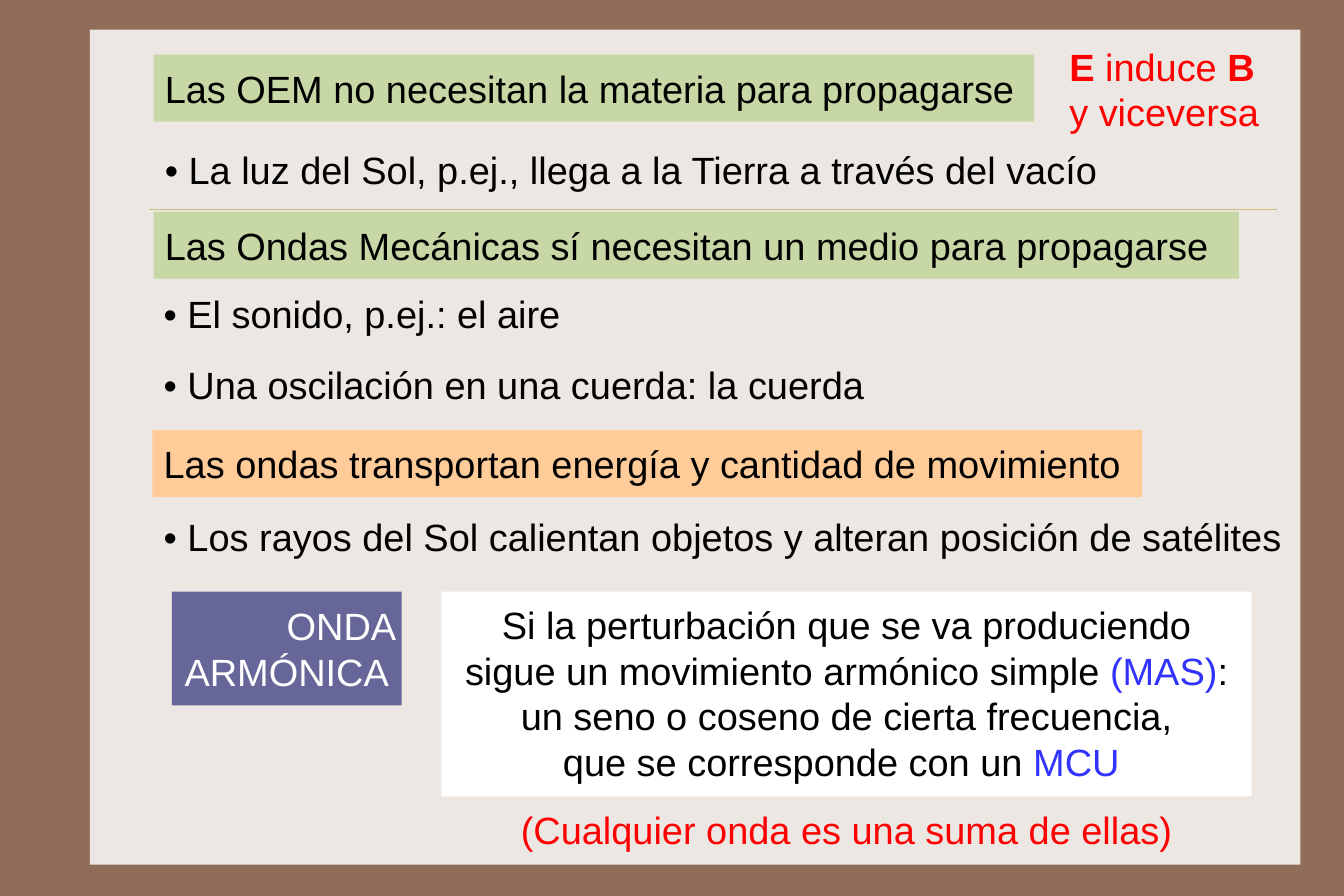
from dataclasses import dataclass
from typing import Optional

from lxml.etree import SubElement
from pptx import Presentation
from pptx.dml.color import RGBColor
from pptx.enum.shapes import MSO_CONNECTOR as Connector, MSO_SHAPE as Preset
from pptx.enum.text import MSO_ANCHOR as Anchor, PP_ALIGN as Align
from pptx.oxml.ns import qn
from pptx.slide import Slide
from pptx.text.text import _Paragraph as Paragraph
from pptx.util import Inches, Pt


@dataclass(frozen=True)
class Theme:
    font: str = "Arial"
    size: float = 24
    frame: str = "906D58"
    panel: str = "EDE7E3"
    rule: str = "CBBD83"
    green: str = "C7D7A5"
    orange: str = "FFCC99"
    violet: str = "666699"
    white: str = "FFFFFF"
    black: str = "000000"
    red: str = "FF0000"
    blue: str = "3333FF"


THEME = Theme()


@dataclass(frozen=True)
class Span:
    text: str
    color: Optional[str] = None
    bold: bool = False
    small_caps: bool = False


@dataclass(frozen=True)
class Box:
    left: float
    top: float
    width: float
    height: float
    lines: tuple[tuple[Span, ...], ...] = ()
    fill: Optional[str] = None
    color: str = THEME.black
    align: Align = Align.LEFT
    anchor: Anchor = Anchor.MIDDLE


LINE_HEIGHT = 0.59


def statement(left: float, top: float, width: float, text: str,
              fill: Optional[str] = None) -> Box:
    return Box(left, top, width, LINE_HEIGHT, ((Span(text),),), fill)


PANEL = Box(0.79, 0.26, 10.64, 7.34, fill=THEME.panel)
BOXES = (
    statement(1.35, 0.48, 7.74, "Las OEM no necesitan la materia para propagarse", THEME.green),
    statement(1.34, 2.46, 3.76, "• El sonido, p.ej.: el aire"),
    statement(1.35, 1.19, 8.51, "• La luz del Sol, p.ej., llega a la Tierra a través del vacío"),
    Box(9.3, 0.29, 1.9, 0.99,
        ((Span("E", bold=True), Span(" induce "), Span("B", bold=True), Span(" y viceversa")),),
        color=THEME.red, anchor=Anchor.TOP),
    statement(1.35, 1.86, 9.54, "Las Ondas Mecánicas sí necesitan un medio para propagarse",
              THEME.green),
    statement(1.34, 3.78, 8.7, "Las ondas transportan energía y cantidad de movimiento",
              THEME.orange),
    statement(1.34, 4.42, 10.15,
              "• Los rayos del Sol calientan objetos y alteran posición de satélites"),
    statement(1.34, 3.08, 6.46, "• Una oscilación en una cuerda: la cuerda"),
    Box(3.88, 5.2, 7.12, 1.8,
        ((Span("Si la perturbación que se va produciendo sigue un movimiento armónico simple "),
          Span("(MAS)", THEME.blue),
          Span(": un seno o coseno de cierta frecuencia,")),
         (Span("que se corresponde con un "), Span("MCU ", THEME.blue))),
        THEME.white, align=Align.CENTER, anchor=Anchor.TOP),
    Box(1.51, 5.2, 2.02, 1, ((Span("ONDA", small_caps=True),), (Span("ARMÓNICA"),)),
        THEME.violet, THEME.white, Align.CENTER),
    Box(4.28, 7, 6.32, LINE_HEIGHT, ((Span("(Cualquier onda es una suma de ellas)"),),),
        color=THEME.red, align=Align.CENTER, anchor=Anchor.TOP),
)


def rgb(color: str) -> RGBColor:
    return RGBColor.from_string(color)


def write_line(para: Paragraph, spans: tuple[Span, ...], box: Box) -> None:
    para.alignment = box.align
    para.font.name = THEME.font
    para.font.size = Pt(THEME.size)
    para.font.color.rgb = rgb(box.color)
    for span in spans:
        run = para.add_run()
        run.text = span.text
        if span.color:
            run.font.color.rgb = rgb(span.color)
        if span.bold:
            run.font.bold = True
        if span.small_caps:
            run._r.get_or_add_rPr().set("cap", "small")


def draw_box(page: Slide, box: Box) -> None:
    place = [Inches(value) for value in (box.left, box.top, box.width, box.height)]
    if box.fill:
        shape = page.shapes.add_shape(Preset.RECTANGLE, *place)
        shape.shadow.inherit = False
        shape.fill.solid()
        shape.fill.fore_color.rgb = rgb(box.fill)
        shape.line.fill.background()
    else:
        shape = page.shapes.add_textbox(*place)
    frame = shape.text_frame
    frame.word_wrap = True
    frame.vertical_anchor = box.anchor
    frame.margin_left = frame.margin_right = Inches(0.1)
    frame.margin_top = frame.margin_bottom = Inches(0.09)
    for index, spans in enumerate(box.lines):
        para = frame.add_paragraph() if index else frame.paragraphs[0]
        write_line(para, spans, box)


def draw_rule(page: Slide, left: float, right: float, top: float) -> None:
    rule = page.shapes.add_connector(
        Connector.STRAIGHT, Inches(left), Inches(top), Inches(right), Inches(top))
    rule.line.color.rgb = rgb(THEME.rule)
    rule.line.width = Pt(0.25)
    SubElement(rule._element.spPr, qn("a:effectLst"))


def main() -> None:
    deck = Presentation()
    deck.slide_width = Inches(189 / 16)
    deck.slide_height = Inches(63 / 8)
    page = deck.slides.add_slide(deck.slide_layouts[6])
    page.background.fill.solid()
    page.background.fill.fore_color.rgb = rgb(THEME.frame)
    draw_box(page, PANEL)
    draw_rule(page, 1.31, 11.22, 1.84)
    for box in BOXES:
        draw_box(page, box)
    deck.save("out.pptx")


if __name__ == "__main__":
    main()
